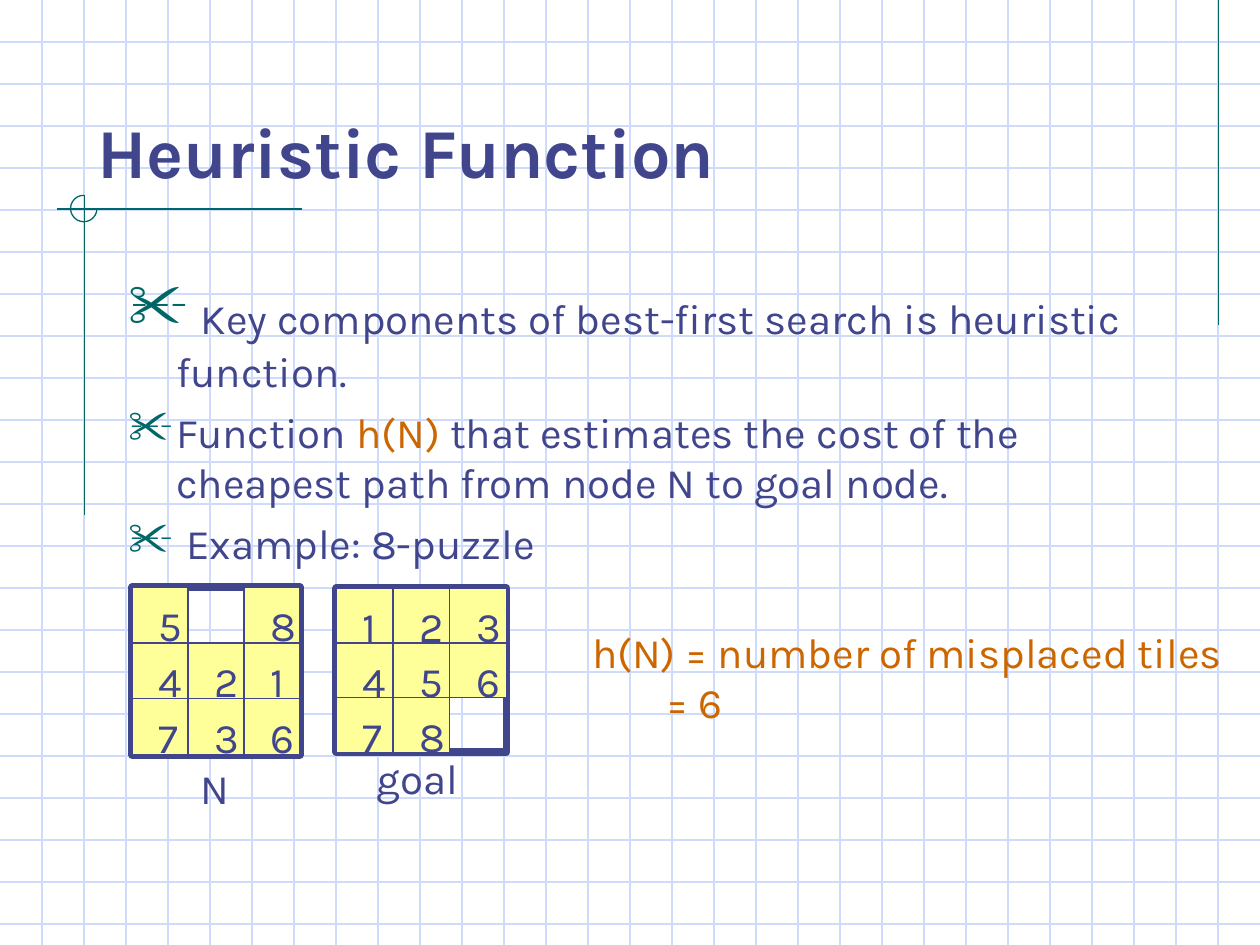
from dataclasses import dataclass

from lxml.etree import SubElement
from pptx import Presentation
from pptx.dml.color import RGBColor as RGB
from pptx.enum.shapes import MSO_CONNECTOR as Link, MSO_SHAPE as Form
from pptx.enum.text import MSO_ANCHOR as Anchor, MSO_AUTO_SIZE as Fit, PP_ALIGN as Align
from pptx.oxml.ns import qn
from pptx.util import Inches, Pt

FONT = "Karla"
INK, TEAL, PALE = "40458C", "006666", "CFDBFD"
GOLD, RUST = "FFFF99", "CC6600"


@dataclass
class Puzzle:
    left: float
    top: float
    width: float
    height: float
    rows: tuple[str, ...]  # a blank marks the empty square


@dataclass
class Span:
    text: str
    size: float = 24
    color: str = INK


BOARDS = [
    Puzzle(2.67, 4.67, 1.35, 1.30, ("123", "456", "78 ")),
    Puzzle(1.05, 4.66, 1.33, 1.33, ("5 8", "421", "736")),
]
POINTS = [
    [Span(" ", 32), Span("Key components of best-first search is heuristic function.")],
    [
        Span("Function "),
        Span("h(N)", color=RUST),
        Span(" that estimates the cost of the cheapest path from node N to goal node."),
    ],
    [Span(" Example: 8-puzzle")],
]


def paint(target, color: str) -> None:
    """Give a font or a fill a solid colour."""
    if hasattr(target, "solid"):
        target.solid()
        target.fore_color.rgb = RGB.from_string(color)
    else:
        target.color.rgb = RGB.from_string(color)


def style(font, size: float, color: str, bold: bool = False) -> None:
    font.name, font.size, font.bold = FONT, Pt(size), bold
    paint(font, color)


def rule(shapes, x1: float, y1: float, x2: float, y2: float, color: str) -> None:
    line = shapes.add_connector(Link.STRAIGHT, Inches(x1), Inches(y1), Inches(x2), Inches(y2))
    line.line.width = Pt(0.75)
    paint(line.line.fill, color)
    SubElement(line._element.spPr, qn("a:effectLst"))


def block(shapes, form, left: float, top: float, width: float, height: float,
          color: str, weight: float, fill: str | None = None):
    shape = shapes.add_shape(form, Inches(left), Inches(top), Inches(width), Inches(height))
    shape.shadow.inherit = False
    shape.line.width = Pt(weight)
    paint(shape.line.fill, color)
    if fill:
        paint(shape.fill, fill)
    else:
        shape.fill.background()
    return shape


def label(shapes, text: str, left: float, top: float, width: float,
          height: float = 0.5, color: str = INK):
    box = shapes.add_textbox(Inches(left), Inches(top), Inches(width), Inches(height))
    frame = box.text_frame
    frame.word_wrap = False
    frame.auto_size = Fit.SHAPE_TO_FIT_TEXT
    frame.text = text
    for para in frame.paragraphs:
        style(para.runs[0].font, 24, color)
    return frame


def bullet(para) -> None:
    props = para._p.get_or_add_pPr()
    props.set("marL", str(Inches(0.38)))
    props.set("indent", str(-Inches(0.38)))
    SubElement(SubElement(props, qn("a:buClr")), qn("a:srgbClr"), val=TEAL)
    SubElement(props, qn("a:buSzPct"), val="110000")
    SubElement(props, qn("a:buChar"), char="✂")


def board(shapes, puzzle: Puzzle) -> None:
    block(shapes, Form.RECTANGLE, puzzle.left, puzzle.top, puzzle.width, puzzle.height, INK, 4.5)
    wide, high = puzzle.width / 3, puzzle.height / 3
    tiles = [
        (digit, puzzle.left + col * wide, puzzle.top + row * high)
        for row, digits in enumerate(puzzle.rows)
        for col, digit in enumerate(digits)
        if digit != " "
    ]
    for _, left, top in tiles:
        block(shapes, Form.RECTANGLE, left, top, wide, high, INK, 0.75, GOLD)
    # Digits lie above every tile, since they reach past their own
    for digit, left, top in tiles:
        label(shapes, digit, left + 0.11, top + 0.05, 0.39)


def main() -> None:
    deck = Presentation()
    deck.slide_width, deck.slide_height = Inches(10), Inches(7.5)
    slide = deck.slides.add_slide(deck.slide_layouts[5])
    shapes = slide.shapes
    paint(slide.background.fill, "FFFFFF")

    # Graph paper, three squares to the inch
    for step in range(1, 23):
        rule(shapes, 0, step / 3, 10, step / 3, PALE)
    for step in range(1, 30):
        rule(shapes, step / 3, 0, step / 3, 7.5, PALE)

    # Teal drafting marks
    rule(shapes, 9.67, 0, 9.67, 2.58, TEAL)
    rule(shapes, 2.4, 1.66, 0.45, 1.66, TEAL)
    rule(shapes, 0.67, 1.55, 0.67, 4.09, TEAL)
    arc = block(shapes, Form.ARC, 0.56, 1.55, 0.21, 0.21, TEAL, 0.75)
    arc.adjustments[0], arc.adjustments[1] = 0, 162  # 0 to 270 degrees

    # Title, brought in front of the grid
    title = shapes.title
    title.left, title.top = Inches(0.67), Inches(0.33)
    title.width, title.height = Inches(8.5), Inches(1.25)
    frame = title.text_frame
    frame.text = "Heuristic Function"
    frame.vertical_anchor, frame.auto_size = Anchor.BOTTOM, Fit.NONE
    frame.paragraphs[0].alignment = Align.LEFT
    style(frame.paragraphs[0].runs[0].font, 40, INK, True)
    shapes._spTree.append(title._element)

    # Key points
    body = shapes.add_textbox(Inches(0.92), Inches(2.16), Inches(8.5), Inches(4.42))
    frame = body.text_frame
    frame.word_wrap = True
    for index, spans in enumerate(POINTS):
        para = frame.add_paragraph() if index else frame.paragraphs[0]
        bullet(para)
        if index:
            para.space_before = Pt(6)
        for span in spans:
            run = para.add_run()
            run.text = span.text
            style(run.font, span.size, span.color)

    # Puzzles, their captions and the heuristic
    for puzzle in BOARDS:
        board(shapes, puzzle)
    label(shapes, "N", 1.49, 6, 0.45)
    label(shapes, "goal", 2.89, 5.92, 0.88)
    note = label(shapes, "h(N) = number of misplaced tiles\n= 6", 4.6, 4.92, 5.28, 0.9, RUST)
    note.paragraphs[1]._p.get_or_add_pPr().set("marL", str(Inches(0.59)))

    deck.save("out.pptx")


if __name__ == "__main__":
    main()
